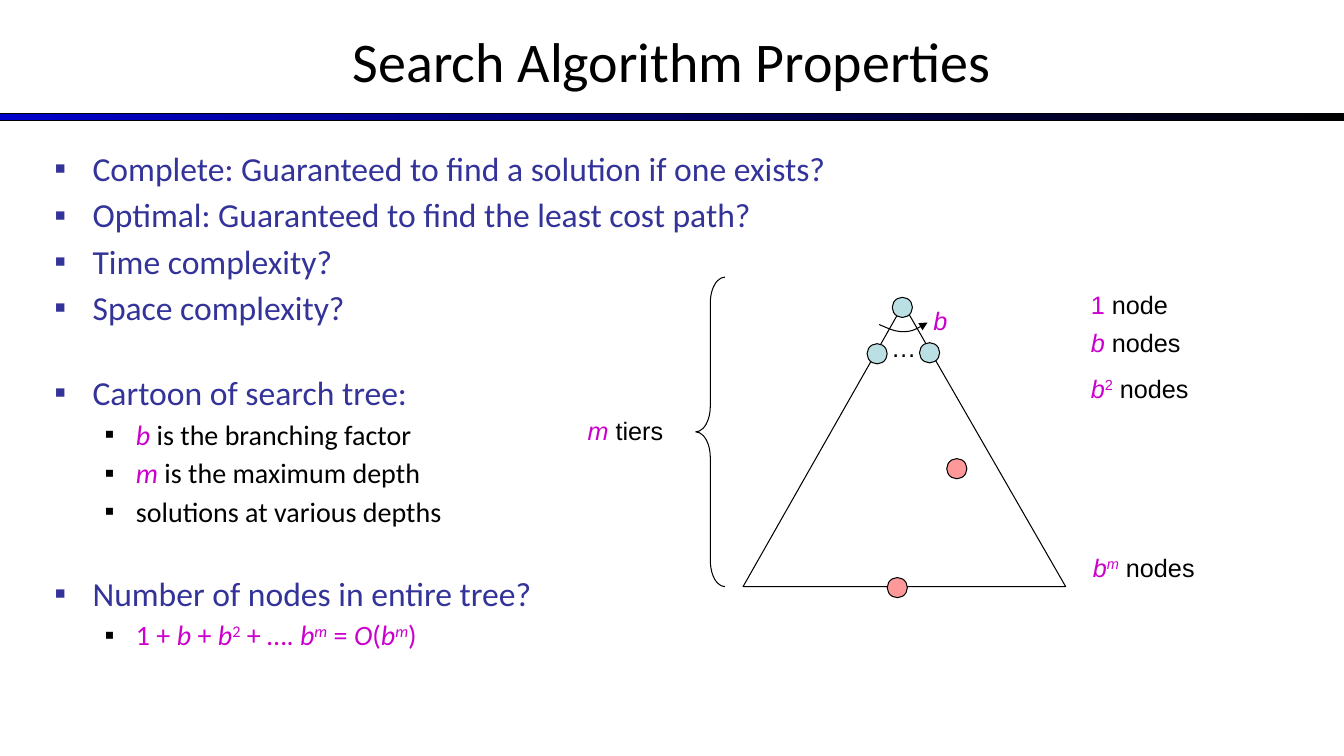
from lxml.etree import SubElement
from pptx import Presentation
from pptx.dml.color import RGBColor
from pptx.enum.shapes import MSO_SHAPE as Preset
from pptx.enum.text import MSO_ANCHOR as Anchor, PP_ALIGN as Align
from pptx.oxml.ns import qn
from pptx.util import Inches, Pt

BLACK, NAVY, MAGENTA = "000000", "333399", "CC00CC"
BLUE_NODE, GOAL_NODE = "BBE0E3", "FF9999"

VAR = {"color": MAGENTA, "italic": True}
NUM = {"color": MAGENTA}
VAR_UP = {**VAR, "raised": True}
NUM_UP = {**NUM, "raised": True}
PLAIN = {}

TITLE = [("Search Algorithm Properties", PLAIN)]
B, M, M_UP, TWO_UP = ("b", VAR), ("m", VAR), ("m", VAR_UP), ("2", NUM_UP)
NODES = (" nodes", PLAIN)

OUTLINE = [
    (0, False, [("Complete: Guaranteed to find a solution if one exists?", PLAIN)]),
    (0, False, [("Optimal: Guaranteed to find the least cost path?", PLAIN)]),
    (0, False, [("Time complexity?", PLAIN)]),
    (0, False, [("Space complexity?", PLAIN)]),
    (0, True, [("Cartoon of search tree:", PLAIN)]),
    (1, False, [B, (" is the branching factor", PLAIN)]),
    (1, False, [M, (" is the maximum depth", PLAIN)]),
    (1, False, [("solutions at various depths", PLAIN)]),
    (0, True, [("Number of nodes in entire tree?", PLAIN)]),
    (1, False, [("1 + ", NUM), B, (" + ", NUM), B, TWO_UP, (" + …. ", NUM), B, M_UP,
                (" = ", NUM), ("O", VAR), ("(", NUM), B, M_UP, (")", NUM)]),
]
LEVELS = [
    {"size": 24, "color": NAVY, "margin": 0.38, "hang": 0.38, "before": 4.2},
    {"size": 20, "color": BLACK, "margin": 0.81, "hang": 0.31, "before": 3.5},
]
GROUP_GAP = 27.9

LABELS = [
    (8.74, 3.25, 0.3, [("…", PLAIN)]),
    (9.16, 2.98, 0.33, [B]),
    (10.72, 2.82, 1.22, [("1", NUM), (" node", PLAIN)]),
    (10.72, 3.2, 1.22, [B, NODES]),
    (10.72, 3.65, 1.22, [B, TWO_UP, NODES]),
    (10.74, 5.43, 1.6, [B, M_UP, NODES]),
    (5.73, 4.07, 1.38, [M, (" tiers", PLAIN)]),
]
TREE = [(7.37, 5.82), (10.57, 5.82), (8.96, 3.02)]
BRANCH_CURVE = [
    [(8.72, 3.22), (8.81, 3.26), (8.9, 3.3), (8.98, 3.29)],
    [(8.98, 3.29), (9.06, 3.29), (9.13, 3.24), (9.2, 3.2)],
]
CURVE_STEPS = 12
CIRCLES = [
    (8.85, 2.95, BLUE_NODE), (8.6, 3.41, BLUE_NODE), (9.12, 3.4, BLUE_NODE),
    (8.8, 5.73, GOAL_NODE), (9.39, 4.55, GOAL_NODE),
]
CIRCLE_SIZE = 0.2


def rgb(value):
    return RGBColor.from_string(value)


def finish(shape, fill=None):
    shape.shadow.inherit = False
    if fill:
        shape.fill.solid()
        shape.fill.fore_color.rgb = rgb(fill)
    else:
        shape.fill.background()
    shape.line.color.rgb = rgb(BLACK)
    shape.line.width = Pt(0.75)
    return shape


def add_preset(page, preset, box, fill=None):
    return finish(page.shapes.add_shape(preset, *map(Inches, box)), fill)


def add_outline(page, points, closed):
    corners = [(Inches(x), Inches(y)) for x, y in points]
    builder = page.shapes.build_freeform(*corners[0], scale=1.0)
    builder.add_line_segments(corners[1:], close=closed)
    return finish(builder.convert_to_shape())


def curve_points(curve):
    points = [curve[0][0]]
    for start, first, second, end in curve:
        for step in range(1, CURVE_STEPS + 1):
            t = step / CURVE_STEPS
            weights = ((1 - t) ** 3, 3 * t * (1 - t) ** 2, 3 * t * t * (1 - t), t ** 3)
            controls = (start, first, second, end)
            points.append(tuple(sum(w * c[axis] for w, c in zip(weights, controls))
                                for axis in (0, 1)))
    return points


def write(para, parts, font, size, color=BLACK):
    for text, style in parts:
        span = para.add_run()
        span.text = text
        settings = {"name": font, "size": Pt(size), "italic": style.get("italic", False)}
        for key, value in settings.items():
            setattr(span.font, key, value)
        span.font.color.rgb = rgb(style.get("color", color))
        if style.get("raised"):
            span._r.get_or_add_rPr().set("baseline", "30000")


def add_text(page, box):
    frame = page.shapes.add_textbox(*map(Inches, box)).text_frame
    frame.word_wrap = True
    return frame


def add_bullet(para, level):
    properties = para._p.get_or_add_pPr()
    properties.set("marL", str(Inches(level["margin"])))
    properties.set("indent", str(-Inches(level["hang"])))
    tint = SubElement(properties, qn("a:buClr"))
    SubElement(tint, qn("a:srgbClr"), val=level["color"])
    SubElement(properties, qn("a:buFont"), typeface="Arial")
    SubElement(properties, qn("a:buChar"), char="▪")


def add_header(page):
    rule = add_preset(page, Preset.RECTANGLE, (0, 1.13, 13.33, 0.07))
    rule.fill.gradient()
    rule.fill.gradient_angle = 0
    for stop, color in zip(rule.fill.gradient_stops, ("0000CC", BLACK)):
        stop.color.rgb = rgb(color)
    frame = add_text(page, (0, -0.03, 13.33, 1.25))
    frame.vertical_anchor = Anchor.MIDDLE
    frame.paragraphs[0].alignment = Align.CENTER
    write(frame.paragraphs[0], TITLE, "Calibri", 40)


def add_body(page):
    frame = add_text(page, (0.44, 1.42, 12.44, 5.17))
    for index, (depth, new_group, parts) in enumerate(OUTLINE):
        level = LEVELS[depth]
        para = frame.add_paragraph() if index else frame.paragraphs[0]
        add_bullet(para, level)
        if index:
            para.space_before = Pt(level["before"] + GROUP_GAP * new_group)
        write(para, parts, "Calibri", level["size"], level["color"])


def add_tree(page):
    add_outline(page, TREE, True)
    for left, top, color in CIRCLES:
        add_preset(page, Preset.OVAL, (left, top, CIRCLE_SIZE, CIRCLE_SIZE), color)
    arc = add_outline(page, curve_points(BRANCH_CURVE), False)
    SubElement(arc.line._get_or_add_ln(), qn("a:tailEnd"), type="triangle")
    brace = add_preset(page, Preset.LEFT_BRACE, (6.9, 2.75, 0.29, 3.07))
    brace.adjustments[0] = 0.884
    for left, top, width, parts in LABELS:
        frame = add_text(page, (left, top, width, 0.4))
        write(frame.paragraphs[0], parts, "Arial", 18)


def main():
    deck = Presentation()
    deck.slide_width, deck.slide_height = Inches(13.33), Inches(7.5)
    page = deck.slides.add_slide(deck.slide_layouts[6])
    add_header(page)
    add_body(page)
    add_tree(page)
    deck.save("out.pptx")


if __name__ == "__main__":
    main()
